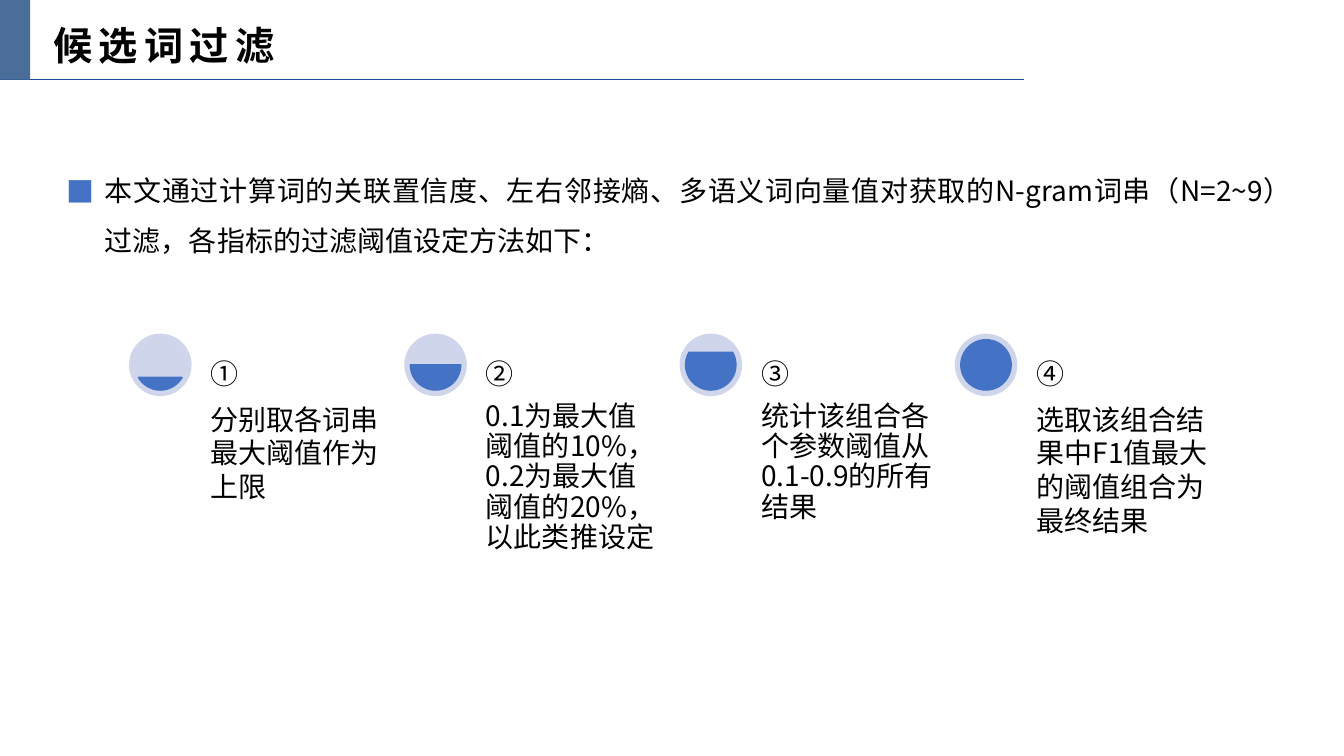
from pptx import Presentation
from pptx.dml.color import RGBColor
from pptx.enum.shapes import MSO_CONNECTOR, MSO_SHAPE
from pptx.enum.text import MSO_ANCHOR, MSO_AUTO_SIZE, PP_ALIGN
from pptx.oxml.ns import qn
from pptx.util import Inches, Pt
from lxml.etree import SubElement

BLACK = RGBColor(0x00, 0x00, 0x00)
RULE_BLUE = RGBColor(0x1A, 0x4D, 0x94)
TAB_BLUE = RGBColor(0x4A, 0x6D, 0x9A)
ACCENT = RGBColor(0x44, 0x72, 0xC4)
PALE = RGBColor(0xCF, 0xD5, 0xEA)
FONT = "Noto Sans CJK SC"

# Marker, text, line spacing, angle of the fill level's right end
STEPS = [
    ("①", "分别取各词串最大阈值作为上限", 1.0, 30),
    ("②", "0.1为最大值阈值的10%，0.2为最大值阈值的20%，以此类推设定", 0.9, 0),
    ("③", "统计该组合各个参数阈值从0.1-0.9的所有结果", 0.9, -30),
    ("④", "选取该组合结果中F1值最大的阈值组合为最终结果", 1.0, -90),
]
STEP_LEFT, STEP_TOP, STEP_PITCH = 1.28, 3.31, 2.73
DIAL, DIAL_INSET = 0.62, 0.06
TEXT_OFFSET, TEXT_WIDTH, TEXT_HEIGHT = 0.75, 1.84, 2.62


class SlideBuilder:
    def __init__(self, slide):
        self.slide = slide

    def place(self, shape, left, top, width, height):
        shape.left, shape.top = Inches(left), Inches(top)
        shape.width, shape.height = Inches(width), Inches(height)

    def fill_text(self, frame, text, size=20, bold=False, spacing=1.0):
        frame.text = text
        paragraph = frame.paragraphs[0]
        paragraph.line_spacing = spacing
        paragraph.space_before = Pt(0)
        run = paragraph.runs[0]
        run.font.name, run.font.size = FONT, Pt(size)
        run.font.bold, run.font.color.rgb = bold, BLACK
        SubElement(run._r.get_or_add_rPr(), qn("a:ea"), typeface=FONT)
        return paragraph

    def title(self, text, *box):
        heading = self.slide.shapes.title
        self.place(heading, *box)
        frame = heading.text_frame
        paragraph = self.fill_text(frame, text, 28, True)
        paragraph.alignment = PP_ALIGN.LEFT
        paragraph.runs[0]._r.get_or_add_rPr().set("spc", "450")
        frame.word_wrap = False
        frame.auto_size = MSO_AUTO_SIZE.SHAPE_TO_FIT_TEXT
        frame.vertical_anchor = MSO_ANCHOR.TOP

    def bullet(self, text, *box):
        body = self.slide.placeholders[1]
        self.place(body, *box)
        frame = body.text_frame
        paragraph = self.fill_text(frame, text, spacing=1.5)
        paragraph.alignment = PP_ALIGN.JUSTIFY
        props = paragraph._p.get_or_add_pPr()
        props.set("marL", str(Inches(0.38)))
        props.set("indent", str(-Inches(0.38)))
        colour = SubElement(props, qn("a:buClr"))
        SubElement(colour, qn("a:srgbClr"), val=str(ACCENT))
        SubElement(props, qn("a:buFont"), typeface=FONT)
        SubElement(props, qn("a:buChar"), char="■")
        frame.auto_size = MSO_AUTO_SIZE.SHAPE_TO_FIT_TEXT

    def rule(self, x1, y1, x2, y2):
        line = self.slide.shapes.add_connector(
            MSO_CONNECTOR.STRAIGHT, Inches(x1), Inches(y1), Inches(x2), Inches(y2))
        line.line.color.rgb, line.line.width = RULE_BLUE, Pt(0.5)
        SubElement(line._element.spPr, qn("a:effectLst"))

    def shape(self, shapes, kind, fill, *box, outline=False):
        item = shapes.add_shape(kind, *map(Inches, box))
        item.shadow.inherit = False
        item.fill.solid()
        item.fill.fore_color.rgb = fill
        if outline:
            item.line.color.rgb, item.line.width = fill, Pt(1)
        else:
            item.line.fill.background()
        return item

    def label(self, shapes, text, anchor, spacing, *box):
        frame = shapes.add_textbox(*map(Inches, box)).text_frame
        frame.word_wrap = True
        frame.vertical_anchor = anchor
        frame.margin_left = frame.margin_right = Inches(0.06)
        frame.margin_top = frame.margin_bottom = Inches(0.06)
        self.fill_text(frame, text, spacing=spacing).space_after = Pt(7)

    def step(self, left, marker, text, spacing, angle):
        shapes = self.slide.shapes.add_group_shape().shapes
        self.shape(shapes, MSO_SHAPE.OVAL, PALE, left, STEP_TOP, DIAL, DIAL)
        inner = DIAL - 2 * DIAL_INSET
        level = self.shape(shapes, MSO_SHAPE.CHORD, ACCENT, left + DIAL_INSET,
                           STEP_TOP + DIAL_INSET, inner, inner, outline=True)
        # Angles are stored in 60000ths of a degree, adjustments in 100000ths
        level.adjustments[0] = angle % 360 * 0.6
        level.adjustments[1] = (180 - angle) * 0.6
        text_left = left + TEXT_OFFSET
        self.label(shapes, text, MSO_ANCHOR.TOP, spacing,
                   text_left, STEP_TOP + DIAL, TEXT_WIDTH, TEXT_HEIGHT)
        self.label(shapes, marker, MSO_ANCHOR.BOTTOM, 1.0,
                   text_left, STEP_TOP, TEXT_WIDTH, DIAL)


def main():
    deck = Presentation()
    deck.slide_width, deck.slide_height = Inches(13.33), Inches(7.5)
    builder = SlideBuilder(deck.slides.add_slide(deck.slide_layouts[1]))

    # Header
    builder.rule(0, 0.79, 10.16, 0.79)
    builder.title("候选词过滤", 0.43, 0.16, 2.48, 0.57)
    builder.shape(builder.slide.shapes, MSO_SHAPE.RECTANGLE, TAB_BLUE, 0, 0, 0.3, 0.79)

    # Introduction
    builder.bullet(
        "本文通过计算词的关联置信度、左右邻接熵、多语义词向量值对获取的N-gram词串"
        "（N=2~9）过滤，各指标的过滤阈值设定方法如下：",
        0.56, 1.5, 12.35, 1.05)

    # Steps
    for index, step in enumerate(STEPS):
        builder.step(STEP_LEFT + index * STEP_PITCH, *step)

    deck.save("out.pptx")


if __name__ == "__main__":
    main()
